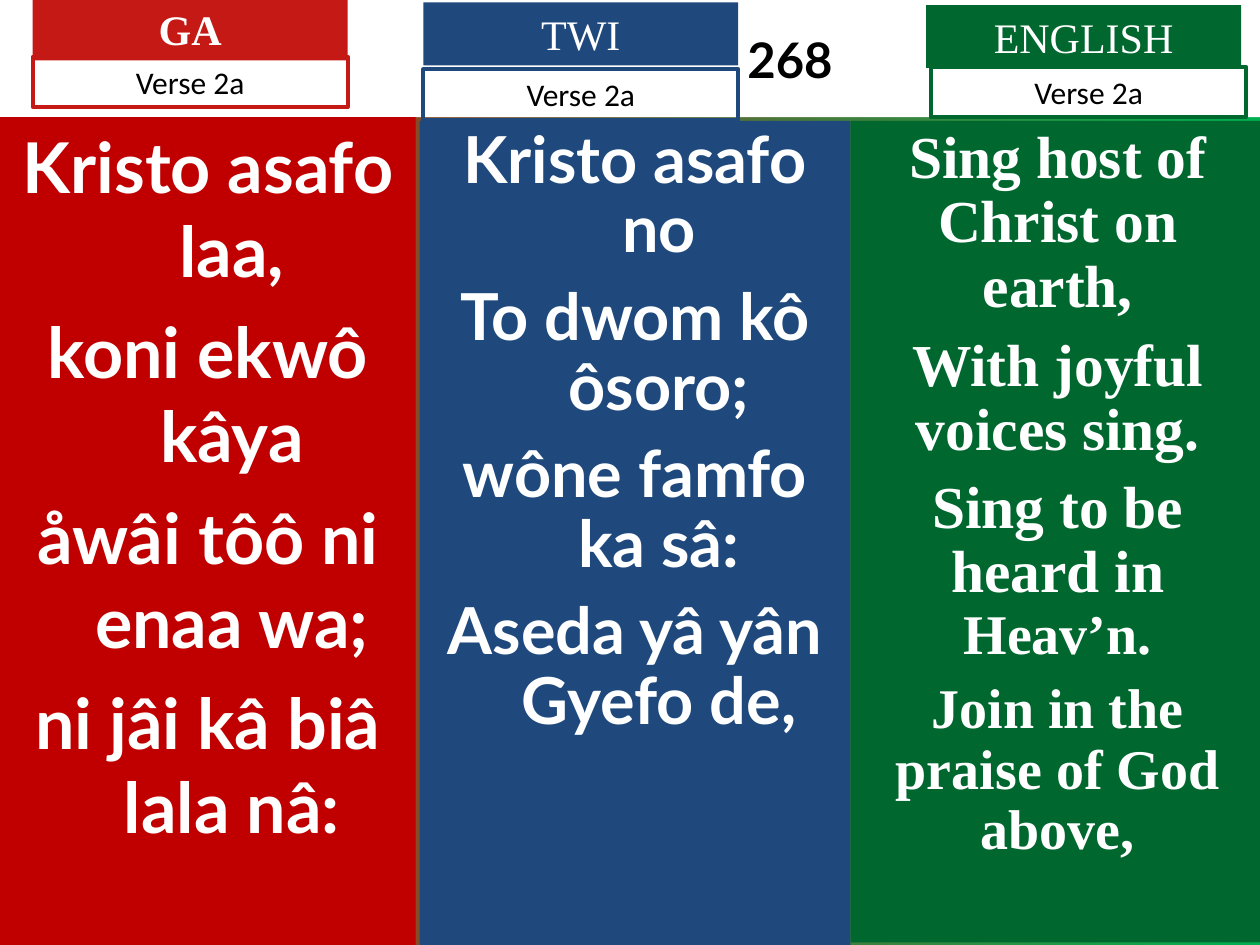
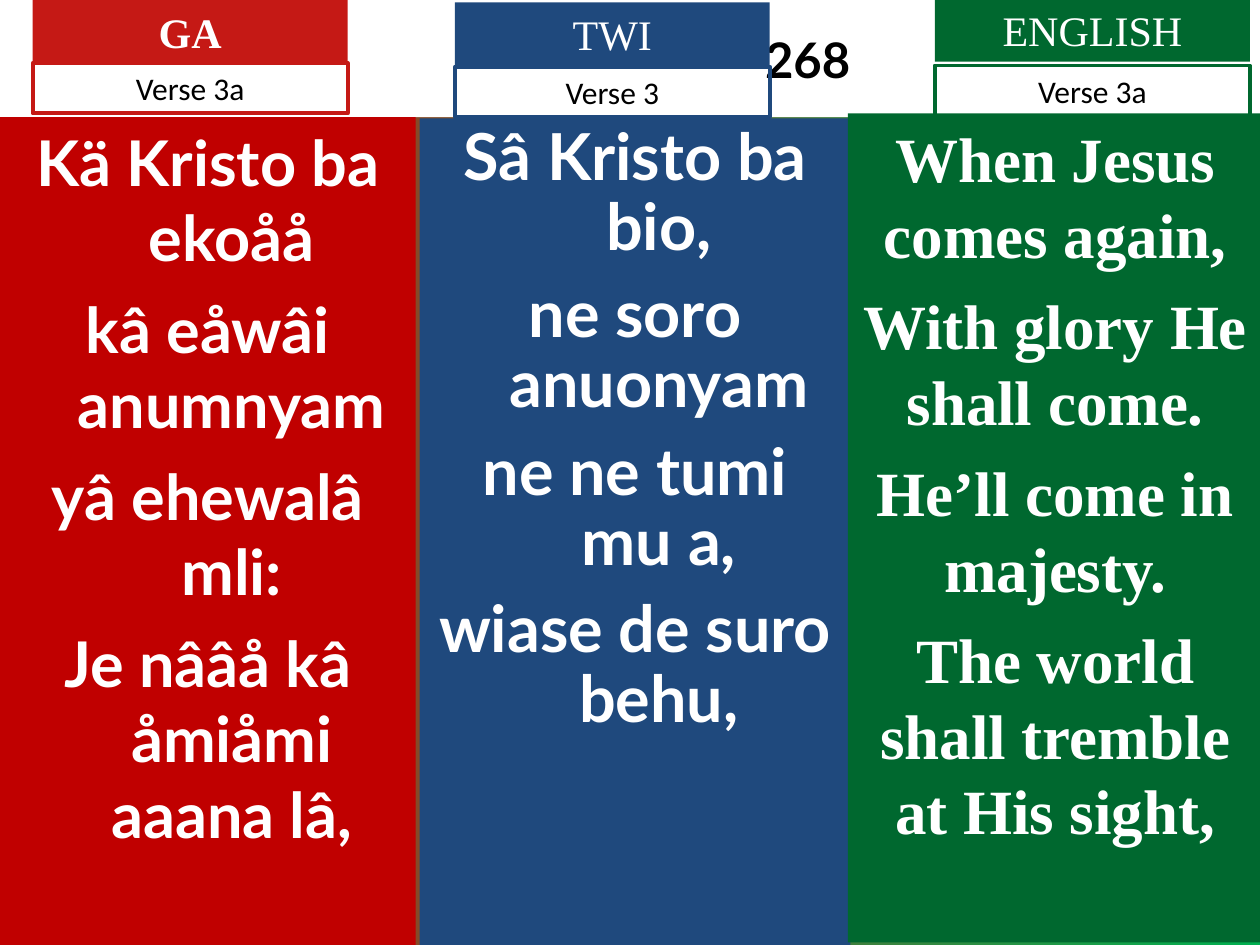
from dataclasses import dataclass

from pptx import Presentation
from pptx.dml.color import RGBColor
from pptx.enum.shapes import MSO_SHAPE
from pptx.enum.text import MSO_ANCHOR, MSO_AUTO_SIZE, PP_ALIGN
from pptx.util import Inches, Pt

RECTANGLE = MSO_SHAPE.RECTANGLE
CENTER = PP_ALIGN.CENTER
MIDDLE, TOP = MSO_ANCHOR.MIDDLE, MSO_ANCHOR.TOP
NO_AUTOFIT = MSO_AUTO_SIZE.NONE

SLIDE_WIDTH, SLIDE_HEIGHT = 10, 7.5
BAND_HEIGHT = 0.93
TAG_WIDTH, TAG_HEIGHT, VERSE_HEIGHT = 2.5, 0.5, 0.4
HANGING = 0.38
WHITE, BLACK = "FFFFFF", "000000"
RED, GREEN = "C51915", "00B050"
SERIF, SANS, BODY = "Times New Roman", "Lato", "Calibri"


@dataclass
class Language:
    name: str
    tag_color: str
    panel_color: str
    font: str
    left: float
    width: float
    foot: float = 0
    hanging: float = 0
    gap_share: float = 0.25
    bold_tag: bool = False


@dataclass
class Column:
    language: Language
    panel_top: float
    tag: tuple
    verse: tuple
    verse_name: str
    size: int
    spacing: float
    lines: list
    panel_shift: float = 0


GA = Language("GA", RED, "C00000", SANS, 0, 3.3, hanging=HANGING, bold_tag=True)
TWI = Language("TWI", "1F497D", "1F497D", SANS, 3.33, 3.42,
               hanging=HANGING, gap_share=0.27)
ENGLISH = Language("ENGLISH", "00682F", "00682F", SERIF, 6.75, 3.29, foot=0.02)

VERSE_2 = [
    Column(GA, 0.93, (0.26, -0.02), (0.26, 0.45), "Verse 2a", 40, 1, [
        "Kristo asafo laa,",
        "koni ekwô kâya",
        "åwâi tôô ni enaa wa;",
        "ni jâi kâ biâ lala nâ:",
    ]),
    Column(TWI, 0.96, (3.36, 0.02), (3.36, 0.55), "Verse 2a", 37, 0.9, [
        "Kristo asafo no",
        "To dwom kô ôsoro;",
        "wône famfo ka sâ:",
        "Aseda yâ yân Gyefo de,",
    ]),
    Column(ENGLISH, 0.96, (7.35, 0.04), (7.39, 0.53), "Verse 2a", 34, 0.9, [
        "Sing host of Christ on earth,",
        "With joyful voices sing.",
        [("Sing to be heard in ", 34), ("Heav’n.", 32)],
        [("Join in the praise of God above,", 32)],
    ]),
]

VERSE_3 = [
    Column(GA, 0.93, (0.26, 0), (0.26, 0.5), "Verse 3a", 36, 1, [
        "Kä Kristo ba ekoåå",
        "kâ eåwâi anumnyam",
        "yâ ehewalâ mli:",
        "Je nââå kâ åmiåmi aaana lâ,",
    ]),
    Column(TWI, 0.94, (3.61, 0.02), (3.61, 0.53), "Verse 3", 37, 0.9, [
        "Sâ Kristo ba bio,",
        "ne soro anuonyam",
        "ne ne tumi mu a,",
        "wiase de suro behu,",
    ]),
    Column(ENGLISH, 0.9, (7.42, -0.01), (7.42, 0.52), "Verse 3a", 36, 1, [
        "When Jesus comes again,",
        "With glory He shall come.",
        "He’ll come in majesty.",
        "The world shall tremble at His sight,",
    ], panel_shift=-0.02),
]


def color(hex_text):
    return RGBColor.from_string(hex_text)


def add_span(para, text, size, font, hex_text, bold=False):
    span = para.add_run()
    span.text = text
    span.font.size = Pt(size)
    span.font.name = font
    span.font.bold = bold
    span.font.color.rgb = color(hex_text)


def prepare_frame(box, anchor):
    frame = box.text_frame
    frame.word_wrap = True
    frame.auto_size = NO_AUTOFIT
    frame.vertical_anchor = anchor
    frame.margin_left = frame.margin_right = Inches(0.1)
    frame.margin_top = frame.margin_bottom = Inches(0.05)
    frame.paragraphs[0].alignment = CENTER
    return frame


def add_box(page, left, top, width, height, fill=None, line=None):
    box = page.shapes.add_shape(RECTANGLE, Inches(left), Inches(top),
                                Inches(width), Inches(height))
    box.shadow.inherit = False
    if fill:
        box.fill.solid()
        box.fill.fore_color.rgb = color(fill)
    else:
        box.fill.background()
    if line:
        box.line.color.rgb = color(line)
        box.line.width = Pt(2.25)
    else:
        box.line.fill.background()
    return box


def paint_background(page):
    fill = page.background.fill
    fill.gradient()
    fill.gradient_angle = 0
    for stop, hex_text in zip(fill.gradient_stops, (RED, GREEN)):
        stop.color.rgb = color(hex_text)


def place_number(page, number, center):
    title = page.shapes.title
    title.left = title.top = 0
    title.width, title.height = Inches(SLIDE_WIDTH), Inches(BAND_HEIGHT)
    title.fill.solid()
    title.fill.fore_color.rgb = color(WHITE)
    frame = prepare_frame(title, MIDDLE)
    frame.margin_left = Inches(2 * center - SLIDE_WIDTH + 0.1)
    add_span(frame.paragraphs[0], number, 28, SANS, BLACK, True)


def add_panel(page, column):
    language = column.language
    height = SLIDE_HEIGHT - language.foot - column.panel_top
    box = add_box(page, language.left + column.panel_shift, column.panel_top,
                  language.width, height, fill=language.panel_color)
    frame = prepare_frame(box, TOP)
    for index, line in enumerate(column.lines):
        spans = [(line, column.size)] if isinstance(line, str) else line
        para = frame.add_paragraph() if index else frame.paragraphs[0]
        para.alignment = CENTER
        para.line_spacing = column.spacing
        last_size = spans[-1][1]
        para.space_before = Pt(round(last_size * language.gap_share, 1) if index else 0)
        if language.hanging:
            properties = para._p.get_or_add_pPr()
            properties.set("marL", str(Inches(language.hanging)))
            properties.set("indent", str(-Inches(language.hanging)))
        for text, size in spans:
            add_span(para, text, size, language.font, WHITE, True)


def add_tag(page, column):
    language = column.language
    tag = add_box(page, *column.tag, TAG_WIDTH, TAG_HEIGHT, fill=language.tag_color)
    add_span(prepare_frame(tag, TOP).paragraphs[0], language.name, 24, SERIF,
             WHITE, language.bold_tag)
    verse = add_box(page, *column.verse, TAG_WIDTH, VERSE_HEIGHT,
                    line=language.tag_color)
    add_span(prepare_frame(verse, TOP).paragraphs[0], column.verse_name, 18,
             BODY, BLACK)


def add_hymn_page(deck, number, number_center, columns):
    page = deck.slides.add_slide(deck.slide_layouts[5])
    paint_background(page)
    place_number(page, number, number_center)
    for column in columns:
        add_panel(page, column)
    for column in columns:
        add_tag(page, column)


def main():
    deck = Presentation()
    deck.slide_width, deck.slide_height = Inches(SLIDE_WIDTH), Inches(SLIDE_HEIGHT)
    add_hymn_page(deck, "268", 6.27, VERSE_2)
    add_hymn_page(deck, "268", 6.41, VERSE_3)
    deck.save("out.pptx")


if __name__ == "__main__":
    main()
